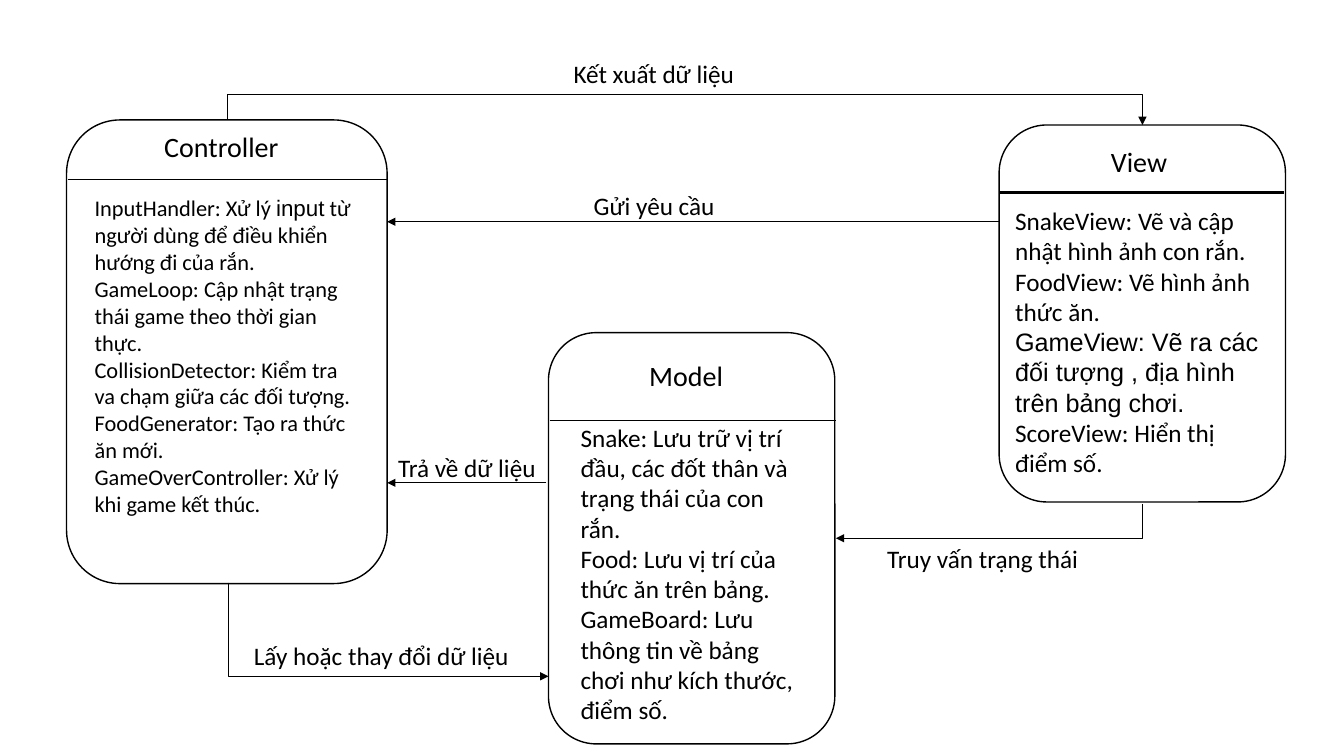
from pptx import Presentation
from pptx.dml.color import RGBColor
from pptx.enum.shapes import MSO_CONNECTOR, MSO_SHAPE
from pptx.enum.text import MSO_AUTO_SIZE
from pptx.oxml.ns import qn
from pptx.util import Inches, Pt
from lxml.etree import SubElement

INK, PAPER = "000000", "FFFFFF"

# Content: each card has a frame, a divider, a heading and a list of roles
CARDS = [
    dict(name="Model", frame=(5.44, 3.3, 2.84, 4.08),
         rule=(5.45, 4.17, 8.29, 4.17), weight=0.5,
         head=(6.34, 3.51, 1.42, 0.4), body=(5.66, 4.14, 2.44, 3.16), size=18,
         roles=[
             "Snake: Lưu trữ vị trí đầu, các đốt thân và trạng thái của con rắn.",
             "Food: Lưu vị trí của thức ăn trên bảng.",
             "GameBoard: Lưu thông tin về bảng chơi như kích thước, điểm số.",
         ]),
    dict(name="View", frame=(9.91, 1.24, 2.84, 3.74),
         rule=(9.91, 1.91, 12.74, 1.91), weight=1.5,
         head=(10.92, 1.38, 2.27, 0.38), body=(9.97, 1.99, 2.71, 3.13), size=18,
         roles=[
             "SnakeView: Vẽ và cập nhật hình ảnh con rắn.",
             "FoodView: Vẽ hình ảnh thức ăn.",
             [("GameView: Vẽ ra các đối tượng , địa hình trên bảng chơi.", "Arial")],
             "ScoreView: Hiển thị điểm số.",
         ]),
    dict(name="Controller", frame=(0.66, 1.19, 3.18, 4.6),
         rule=(0.67, 1.78, 3.85, 1.78), weight=0.5,
         head=(1.53, 1.24, 1.96, 0.44), body=(0.84, 1.88, 2.84, 3.9), size=16,
         roles=[
             [("InputHandler: Xử lý ", "Calibri"), ("input", "Arial"),
              (" từ người dùng để điều khiển hướng đi của rắn.", "Calibri")],
             "GameLoop: Cập nhật trạng thái game theo thời gian thực.",
             "CollisionDetector: Kiểm tra va chạm giữa các đối tượng.",
             "FoodGenerator: Tạo ra thức ăn mới.",
             "GameOverController: Xử lý khi game kết thúc.",
         ]),
]
LABELS = [
    ("Kết xuất dữ liệu", (5.59, 0.53, 2.15, 0.4)),
    ("Lấy hoặc thay đổi dữ liệu", (2.42, 6.3, 2.84, 0.4)),
    ("Gửi yêu cầu", (5.79, 1.84, 3.44, 0.4)),
    ("Truy vấn trạng thái", (8.7, 5.34, 2.84, 0.4)),
    ("Trả về dữ liệu", (3.85, 4.44, 1.67, 0.4)),
]
ARROWS = [(9.91, 2.2, 3.84, 2.2), (5.42, 4.79, 3.84, 4.79)]
# Ends, preset, quarter turns, mirrored, bend
ELBOWS = [
    ((2.25, 1.19, 11.33, 1.24), "bentConnector3", 3, True, -500000),
    ((11.33, 5, 8.29, 5.34), "bentConnector2", 1, False, None),
    ((2.26, 5.78, 5.44, 6.71), "bentConnector2", 3, True, None),
]


def tint(code):
    return RGBColor.from_string(code)


def inch(vals):
    return [Inches(v) for v in vals]


def write(slide, box, paras, size):
    frame = slide.shapes.add_textbox(*inch(box)).text_frame
    frame.word_wrap = True
    frame.auto_size = MSO_AUTO_SIZE.SHAPE_TO_FIT_TEXT
    for i, para in enumerate(paras):
        line = frame.paragraphs[0] if i == 0 else frame.add_paragraph()
        runs = [(para, "Calibri")] if isinstance(para, str) else para
        for text, face in runs:
            run = line.add_run()
            run.text = text
            for key, val in {"name": face, "size": Pt(size)}.items():
                setattr(run.font, key, val)
            run.font.color.rgb = tint(INK)


def draw(slide, ends, weight=0.5, kind=MSO_CONNECTOR.STRAIGHT, arrow=False):
    line = slide.shapes.add_connector(kind, *inch(ends))
    line.line.width = Pt(weight)
    line.line.color.rgb = tint(INK)
    props = line._element.spPr
    if arrow:
        SubElement(props.find(qn("a:ln")), qn("a:tailEnd"), type="triangle")
    SubElement(props, qn("a:effectLst"))
    return line


def bend(slide, ends, preset, turns, flip, adj):
    # The box is turned about the midpoint, so its sides swap
    x1, y1, x2, y2 = ends
    wide, high = abs(y2 - y1), abs(x2 - x1)
    left, top = (x1 + x2 - wide) / 2, (y1 + y2 - high) / 2
    line = draw(slide, (left, top, left + wide, top + high),
                kind=MSO_CONNECTOR.ELBOW, arrow=True)
    props = line._element.spPr
    form = props.find(qn("a:xfrm"))
    form.set("rot", str(turns * 5400000))
    if flip:
        form.set("flipH", "1")
    geom = props.find(qn("a:prstGeom"))
    geom.set("prst", preset)
    if adj is not None:
        SubElement(geom.find(qn("a:avLst")), qn("a:gd"),
                   name="adj1", fmla=f"val {adj}")


def card(slide, item):
    box = slide.shapes.add_shape(MSO_SHAPE.ROUNDED_RECTANGLE, *inch(item["frame"]))
    box.shadow.inherit = False
    box.fill.solid()
    box.fill.fore_color.rgb = tint(PAPER)
    box.line.color.rgb = tint(INK)
    box.line.width = Pt(1)
    draw(slide, item["rule"], item["weight"])
    write(slide, item["head"], [item["name"]], 20)
    write(slide, item["body"], item["roles"], item["size"])


def main():
    deck = Presentation()
    deck.slide_width, deck.slide_height = inch((13.33, 7.5))
    slide = deck.slides.add_slide(deck.slide_layouts[6])
    # Cards
    for item in CARDS:
        card(slide, item)
    # Flow between the cards
    for ends in ARROWS:
        draw(slide, ends, arrow=True)
    for elbow in ELBOWS:
        bend(slide, *elbow)
    for text, box in LABELS:
        write(slide, box, [text], 18)
    deck.save("out.pptx")


if __name__ == "__main__":
    main()
